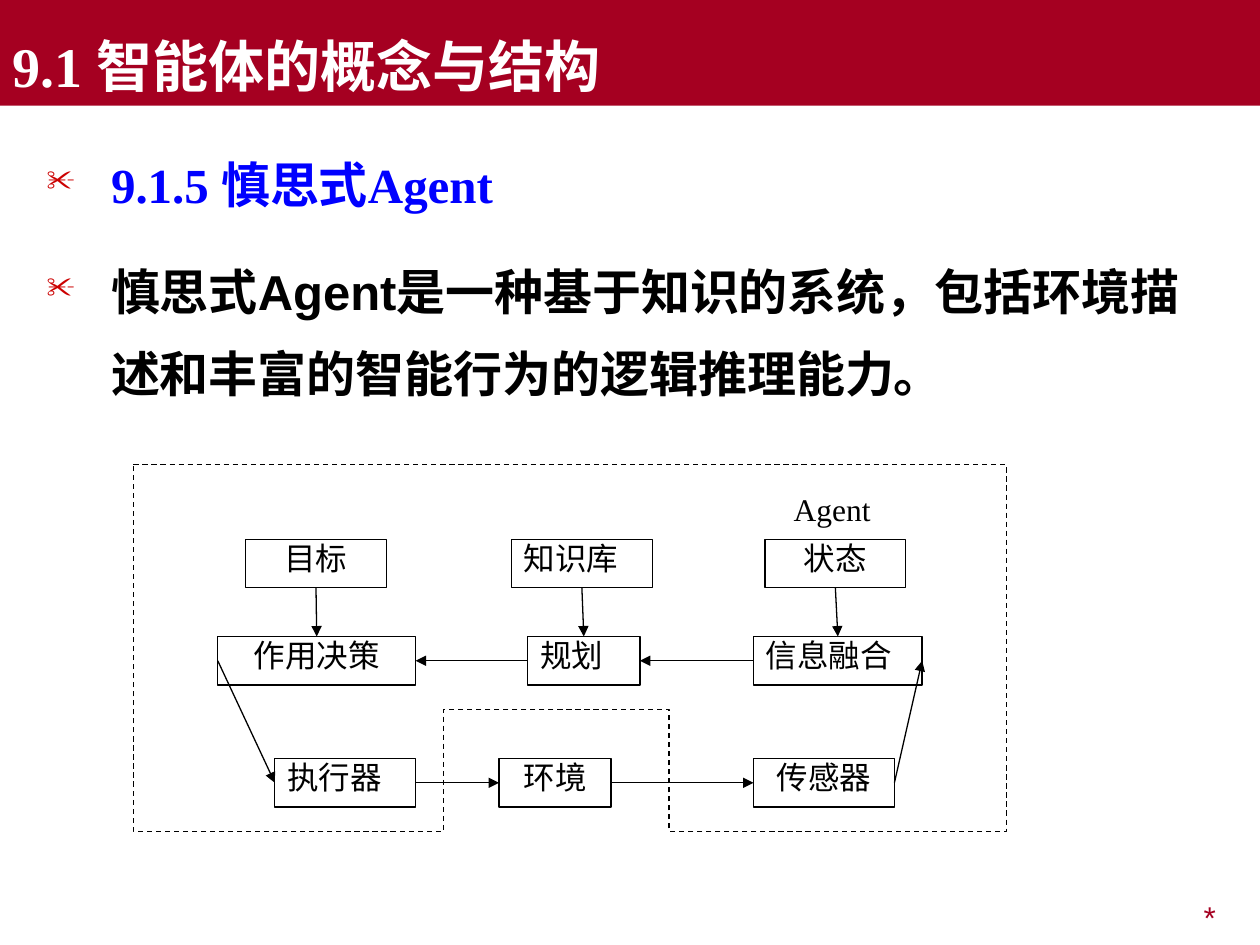
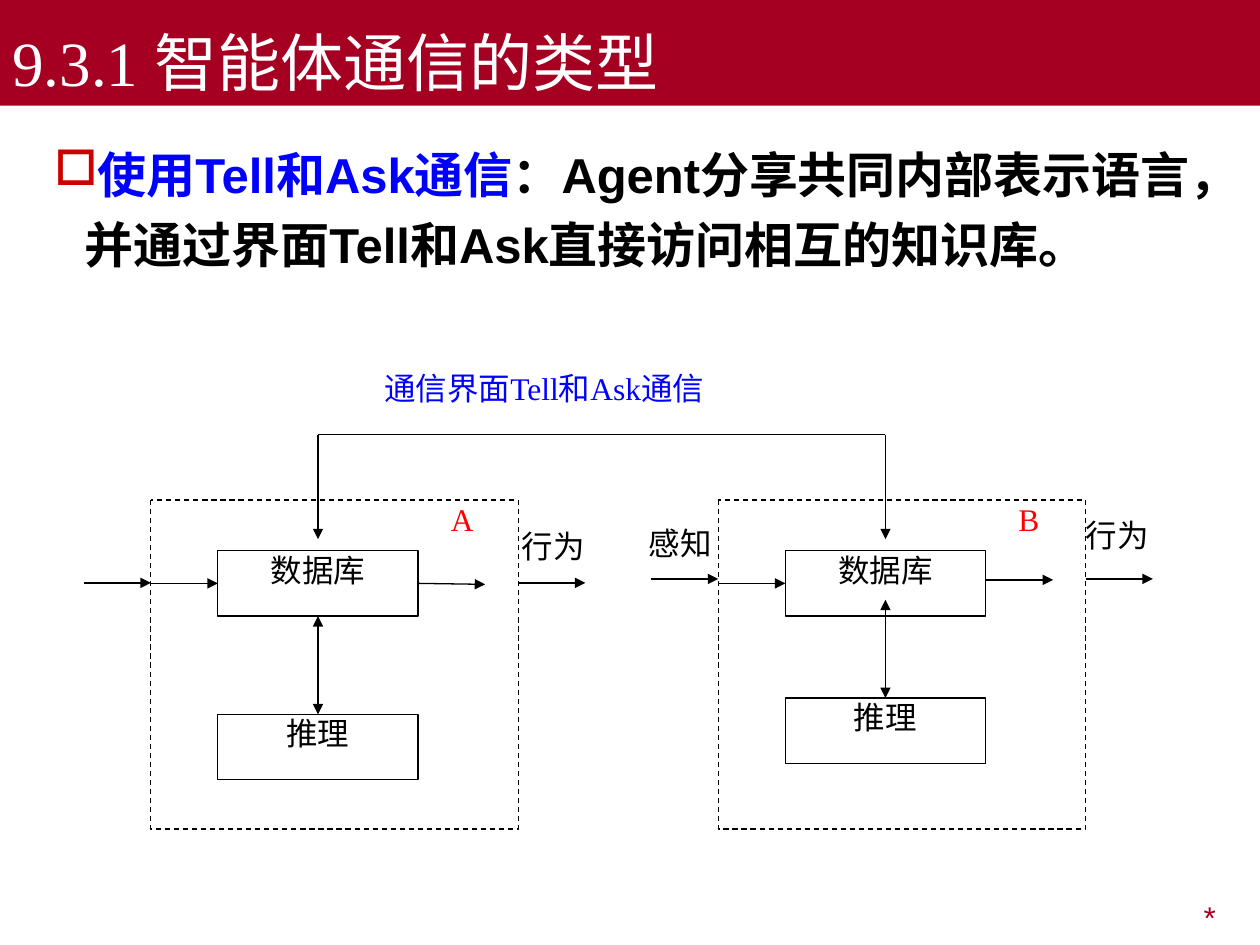
from lxml import etree
from pptx import Presentation
from pptx.dml.color import RGBColor
from pptx.enum.dml import MSO_LINE
from pptx.enum.shapes import MSO_CONNECTOR, MSO_SHAPE
from pptx.enum.text import MSO_ANCHOR, PP_ALIGN
from pptx.oxml.ns import qn
from pptx.util import Cm, Pt

RECT, PROCESS = MSO_SHAPE.RECTANGLE, MSO_SHAPE.FLOWCHART_PROCESS
STRAIGHT, DASH = MSO_CONNECTOR.STRAIGHT, MSO_LINE.DASH
TOP, LOW = MSO_ANCHOR.TOP, MSO_ANCHOR.BOTTOM
LEFT, MID, RIGHT, EVEN = (PP_ALIGN.LEFT, PP_ALIGN.CENTER,
                          PP_ALIGN.RIGHT, PP_ALIGN.JUSTIFY)

MAROON = RGBColor(0xA5, 0x00, 0x21)
CRIMSON = RGBColor(0xCC, 0x00, 0x00)
RED = RGBColor(0xFF, 0x00, 0x00)
BLUE = RGBColor(0x00, 0x00, 0xFF)
BLACK = RGBColor(0x00, 0x00, 0x00)
WHITE = RGBColor(0xFF, 0xFF, 0xFF)

SERIF, SANS = "Times New Roman", "Arial"
PADDED = (0.25, 0.13, 0.25, 0.13)
SIDES = (0.25, 0, 0.25, 0)
BARE = (0, 0, 0, 0)
NORTH, WEST, SOUTH, EAST = range(4)


def apply(target, values):
    for name, value in values.items():
        setattr(target, name, value)


def add(parent, tag, **attrs):
    return etree.SubElement(parent, qn(tag), attrs)


class Deck:
    """Holds the shared style and the slide being drawn."""

    def __init__(self):
        self.prs = Presentation()
        self.prs.slide_width, self.prs.slide_height = Cm(25.4), Cm(19.05)

    def page(self, title, size, bold):
        """Start a slide with its title band and footer mark."""
        self.shapes = self.prs.slides.add_slide(
            self.prs.slide_layouts[6]).shapes
        self.text((19.25, 17.98, 5.51, 0.99), "*", PADDED, RIGHT,
                  MAROON, SANS)
        band = self.shape(RECT, (0, 0, 25.4, 2.13), MAROON)
        self.frame(band, PADDED, LOW)
        self.run(band.text_frame.paragraphs[0], title, WHITE, SERIF,
                 size, bold)
        band.text_frame.paragraphs[0].alignment = LEFT

    def frame(self, shape, pad, anchor=TOP):
        sides = ("left", "top", "right", "bottom")
        values = {f"margin_{s}": Cm(v) for s, v in zip(sides, pad)}
        apply(shape.text_frame,
              {**values, "word_wrap": True, "vertical_anchor": anchor})

    def run(self, para, text, color=BLACK, face=SERIF, size=18, bold=False):
        run = para.add_run()
        run.text = text
        apply(run.font, {"name": face, "size": Pt(size), "bold": bold})
        run.font.color.rgb = color

    def stroke(self, line, dash=None):
        line.color.rgb = BLACK
        apply(line, {"width": Pt(0.75), "dash_style": dash})

    def shape(self, kind, spot, fill):
        shape = self.shapes.add_shape(kind, *map(Cm, spot))
        shape.shadow.inherit = False
        shape.fill.solid()
        shape.fill.fore_color.rgb = fill
        shape.line.fill.background()
        return shape

    def box(self, text, spot, align=MID):
        box = self.shape(PROCESS, spot, WHITE)
        self.stroke(box.line)
        self.frame(box, SIDES)
        para = box.text_frame.paragraphs[0]
        para.alignment = align
        self.run(para, text)
        return box

    def text(self, spot, text, pad=BARE, align=EVEN, color=BLACK, face=SERIF):
        box = self.shapes.add_textbox(*map(Cm, spot))
        self.frame(box, pad)
        para = box.text_frame.paragraphs[0]
        para.alignment = align
        self.run(para, text, color, face)

    def bullets(self, spot, items, mark, scale, hang, pitch):
        """Each item is a list of (text, colour, face) runs."""
        box = self.shapes.add_textbox(*map(Cm, spot))
        self.frame(box, PADDED)
        frame = box.text_frame
        for i, runs in enumerate(items):
            para = frame.add_paragraph() if i else frame.paragraphs[0]
            props = para._p.get_or_add_pPr()
            props.set("marL", str(Cm(hang)))
            props.set("indent", str(-Cm(hang)))
            add(add(props, "a:buClr"), "a:srgbClr", val=str(CRIMSON))
            add(props, "a:buSzPct", val=str(scale * 1000))
            add(props, "a:buChar", char=mark)
            apply(para, {"line_spacing": pitch,
                         "space_before": Pt(14 if i else 0)})
            for text, color, face in runs:
                self.run(para, text, color, face, 28, True)

    def outline(self, points):
        (x, y), *rest = [(Cm(a), Cm(b)) for a, b in points]
        pen = self.shapes.build_freeform(x, y)
        pen.add_line_segments(rest, close=True)
        shape = pen.convert_to_shape()
        shape.shadow.inherit = False
        shape.fill.background()
        self.stroke(shape.line, DASH)

    def link(self, start, end, heads=("tail",)):
        """An end is a point (x, y) or a joint (shape, side)."""
        line = self.shapes.add_connector(STRAIGHT, 0, 0, 0, 0)
        ends = (("begin", start, line.begin_connect),
                ("end", end, line.end_connect))
        for name, (a, b), join in ends:
            if isinstance(a, (int, float)):
                apply(line, {f"{name}_x": Cm(a), f"{name}_y": Cm(b)})
            else:
                join(a, b)
        self.stroke(line.line)
        for head in heads:
            add(line.line._ln, f"a:{head}End", type="triangle")
        add(line._element.spPr, "a:effectLst")


def think(deck):
    deck.page("9.1 智能体的概念与结构", 32, True)
    deck.bullets((0.69, 2.51, 24, 15.01), [
        [("9.1.5 慎思式Agent", BLUE, SERIF)],
        [("慎思式Agent是一种基于知识的系统，包括环境描述和丰富的智能行为的"
          "逻辑推理能力。", BLACK, SANS)],
    ], "✂", 60, 1.3, 1.4)
    rows = {
        10.87: [("目标", 4.95, 2.84, MID), ("知识库", 10.31, 2.84, EVEN),
                ("状态", 15.42, 2.84, MID)],
        12.83: [("作用决策", 4.39, 3.99, MID), ("规划", 10.64, 2.26, EVEN),
                ("信息融合", 15.19, 3.4, EVEN)],
        15.29: [("执行器", 5.54, 2.84, EVEN), ("环境", 10.06, 2.26, MID),
                ("传感器", 15.19, 2.84, MID)],
    }
    goals, plans, acts = [
        [deck.box(name, (x, y, w, 0.98), align) for name, x, w, align in row]
        for y, row in rows.items()]
    for goal, plan in zip(goals, plans):
        deck.link((goal, SOUTH), (plan, NORTH))
    for i in (0, 1):
        deck.link((plans[i + 1], WEST), (plans[i], EAST))
        deck.link((acts[i], EAST), (acts[i + 1], WEST))
    deck.link((plans[0], WEST), (acts[0], WEST))
    deck.link((acts[2], EAST), (plans[2], EAST))
    deck.text((15.75, 9.88, 2.84, 1.47), "Agent", SIDES)
    left, right, top, base = 2.69, 20.29, 9.37, 16.76
    inner, outer, notch = 8.94, 13.49, 14.3
    deck.outline([(left, top), (right, top), (right, base), (outer, base),
                  (outer, notch), (inner, notch), (inner, base),
                  (left, base)])


def agent(deck, name, left, flow, low):
    """Draw one agent: its frame, two boxes and outer arrows."""
    right, top, base = left + 7.41, 10.08, 16.71
    deck.outline([(left, top), (left, base), (right, base), (right, top)])
    data = deck.box("数据库", (left + 1.35, 11.1, 4.04, 1.32))
    logic = deck.box("推理", (left + 1.35, low, 4.04, 1.32))
    deck.link((left, 11.76), (data, WEST))
    for x in (left - 1.35, right):
        deck.link((x, flow), (x + 1.35, flow))
    deck.text((left + 6.05, top, 2.03, 1.32), name, color=RED)
    return data, logic


def talk(deck):
    deck.page("9.3.1 智能体通信的类型", 36, False)
    deck.bullets((0.84, 2.54, 23.5, 4.65), [
        [("使用Tell和Ask通信", BLUE, SANS),
         ("：Agent分享共同内部表示语言，并通过界面Tell和Ask直接访问相互的"
          "知识库。", BLACK, SANS)],
    ], "□", 100, 0.62, 1.2)
    both = ("head", "tail")
    data, logic = agent(deck, "A", 3.04, 11.75, 14.4)
    deck.link((data, EAST), (9.78, 11.78))
    deck.link((data, SOUTH), (logic, NORTH), both)
    data, logic = agent(deck, "B", 14.48, 11.67, 14.07)
    deck.link((19.88, 11.69), (21.23, 11.69))
    deck.link((17.85, 12.09), (logic, NORTH), both)
    ends, bus = (6.41, 17.85), 8.76
    deck.link((ends[0], bus), (ends[1], bus), ())
    for x in ends:
        deck.link((x, bus), (x, 10.87))
    for word, x, y in (("行为", 10.52, 10.62), ("感知", 13.08, 10.57),
                       ("行为", 21.89, 10.41)):
        deck.text((x, y, 2.03, 1.32), word)
    deck.text((7.75, 7.44, 7.41, 1.32), "通信界面Tell和Ask通信", color=BLUE)


def main():
    deck = Deck()
    think(deck)
    talk(deck)
    deck.prs.save("out.pptx")


if __name__ == "__main__":
    main()
